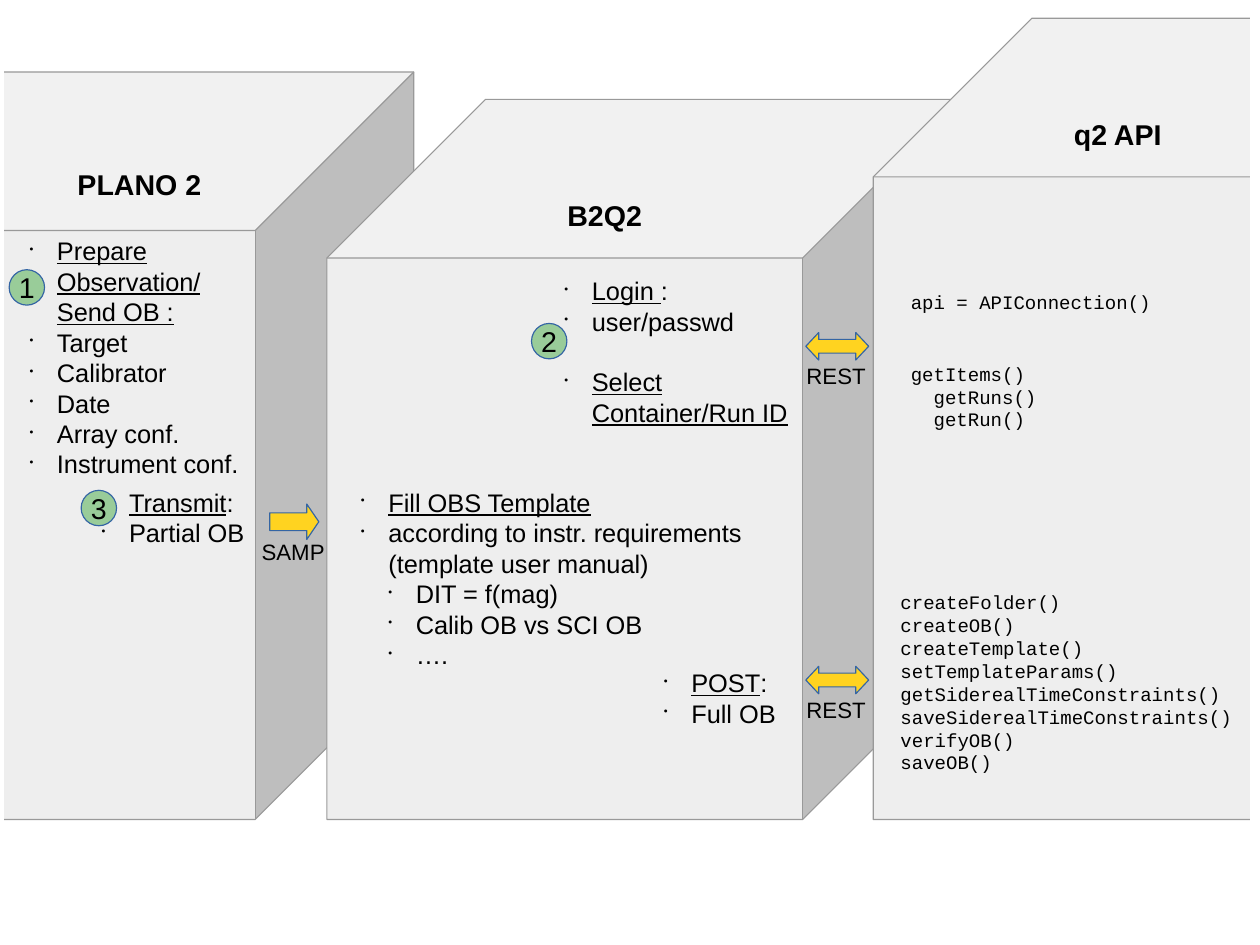
from collections import namedtuple
from lxml.etree import SubElement
from pptx import Presentation
from pptx.dml.color import RGBColor
from pptx.enum.shapes import MSO_SHAPE
from pptx.enum.text import MSO_ANCHOR, PP_ALIGN
from pptx.oxml.ns import qn
from pptx.util import Cm, Inches, Pt

BLACK = RGBColor(0x00, 0x00, 0x00)
WHITE = RGBColor(0xFF, 0xFF, 0xFF)
PANEL_GREY = RGBColor(0xEE, 0xEE, 0xEE)
EDGE_GREY = RGBColor(0x99, 0x99, 0x99)
BADGE_GREEN = RGBColor(0x99, 0xCC, 0x99)
ARROW_YELLOW = RGBColor(0xFF, 0xD3, 0x20)
OUTLINE_BLUE = RGBColor(0x34, 0x65, 0xA4)

TITLE = {"name": "Arial", "size": Pt(18), "bold": True}
NUMBER = {"name": "Arial", "size": Pt(18)}
LABEL = {"name": "Arial", "size": Pt(14)}
BODY = {"name": "Arial", "size": Pt(16)}
CODE = {"name": "Courier New", "size": Pt(12)}

INDENT = 0.24
BADGE_SIZE = 0.31

Box = namedtuple("Box", "left top width height")
Item = namedtuple("Item", "heading text level space_before", defaults=("", "", 0, 0))


def inside(box, left, top, width, height):
    return Box(box.left + left, box.top + top, width, height)


def add_run(paragraph, text, style, **extra):
    run = paragraph.add_run()
    run.text = text
    run.font.color.rgb = BLACK
    for name, value in {**style, **extra}.items():
        setattr(run.font, name, value)


def add_outlined(slide, kind, box, fill, line):
    shape = slide.shapes.add_shape(kind, *map(Inches, box))
    shape.shadow.inherit = False
    shape.fill.solid()
    shape.fill.fore_color.rgb = fill
    shape.line.color.rgb = line
    shape.line.width = Pt(0)
    return shape


def add_text(slide, box, wrap=True):
    frame = slide.shapes.add_textbox(*map(Inches, box)).text_frame
    frame.word_wrap = wrap
    return frame


def next_paragraph(frame, index):
    return frame.add_paragraph() if index else frame.paragraphs[0]


def add_centred(slide, box, text, style):
    frame = add_text(slide, box)
    frame.vertical_anchor = MSO_ANCHOR.MIDDLE
    paragraph = frame.paragraphs[0]
    paragraph.alignment = PP_ALIGN.CENTER
    add_run(paragraph, text, style)


def add_bullet(paragraph, level):
    properties = paragraph._p.get_or_add_pPr()
    properties.set("marL", str(Inches(INDENT * (level + 1))))
    properties.set("indent", str(-Inches(INDENT)))
    colour = SubElement(properties, qn("a:buClr"))
    SubElement(colour, qn("a:srgbClr")).set("val", str(BLACK))
    SubElement(properties, qn("a:buSzPct")).set("val", "45000")
    SubElement(properties, qn("a:buChar")).set("char", "•")


def add_list(slide, box, items):
    frame = add_text(slide, box)
    for index, item in enumerate(items):
        paragraph = next_paragraph(frame, index)
        paragraph.level = item.level
        paragraph.space_before = Pt(item.space_before)
        add_bullet(paragraph, item.level)
        if item.heading:
            add_run(paragraph, item.heading, BODY, underline=True)
        if item.text:
            add_run(paragraph, item.text, BODY)


def add_code(slide, box, calls, nested=()):
    frame = add_text(slide, box, wrap=False)
    for index, call in enumerate([*calls, *nested]):
        paragraph = next_paragraph(frame, index)
        if call in nested:
            paragraph._p.get_or_add_pPr().set("marL", str(Inches(0.2)))
        add_run(paragraph, call, CODE)


def add_badge(slide, panel, left, top, number):
    box = inside(panel, left, top, BADGE_SIZE, BADGE_SIZE)
    shape = add_outlined(slide, MSO_SHAPE.OVAL, box, BADGE_GREEN, OUTLINE_BLUE)
    frame = shape.text_frame
    frame.word_wrap = False
    frame.vertical_anchor = MSO_ANCHOR.MIDDLE
    frame.paragraphs[0].alignment = PP_ALIGN.CENTER
    add_run(frame.paragraphs[0], number, NUMBER)


def add_link(slide, kind, box, head, protocol):
    arrow = add_outlined(slide, kind, box, ARROW_YELLOW, OUTLINE_BLUE)
    arrow.adjustments[1] = head
    label = inside(box, box.width / 2 - 0.46, box.height / 2 + 0.1, 0.9, 0.32)
    add_centred(slide, label, protocol, LABEL)


def add_cube(slide, panel, title, title_centre, title_top):
    cube = add_outlined(slide, MSO_SHAPE.CUBE, panel, PANEL_GREY, EDGE_GREY)
    cube.adjustments[0] = 0.25
    add_centred(slide, inside(panel, title_centre - 0.8, title_top, 1.6, 0.38), title, TITLE)


def add_preparation_panel(slide, panel):
    add_cube(slide, panel, "PLANO 2", 3.15, 0.79)
    settings = ["Target", "Calibrator", "Date", "Array conf.", "Instrument conf."]
    add_list(slide, inside(panel, 2.09, 1.38, 2.05, 2.34),
             [Item("Prepare Observation/ Send OB\u00a0:"), *(Item(text=name) for name in settings)])
    add_list(slide, inside(panel, 2.72, 3.58, 2.01, 0.65),
             [Item("Transmit", ":"), Item(text="Partial OB")])
    add_badge(slide, panel, 2.01, 1.73, "1")
    add_badge(slide, panel, 2.64, 3.66, "3")
    add_link(slide, MSO_SHAPE.RIGHT_ARROW, inside(panel, 4.29, 3.78, 0.43, 0.31), 0.34, "SAMP")


def add_template_panel(slide, panel):
    add_cube(slide, panel, "B2Q2", 2.43, 0.82)
    add_list(slide, inside(panel, 0.2, 3.34, 3.87, 1.7), [
        Item("Fill OBS Template"),
        Item(text="according to instr. requirements (template user manual)"),
        Item(text="DIT = f(mag)", level=1),
        Item(text="Calib OB vs SCI OB", level=1),
        Item(text="….", level=1),
    ])
    add_list(slide, inside(panel, 1.98, 1.49, 2.2, 1.69), [
        Item("Login\u00a0", ":"),
        Item(text="user/passwd"),
        Item("Select Container/Run ID", space_before=19),
    ])
    add_list(slide, inside(panel, 2.85, 4.92, 2.01, 0.65),
             [Item("POST", ":"), Item(text="Full OB")])
    add_badge(slide, panel, 1.79, 1.96, "2")
    for top in (2.04, 4.96):
        add_link(slide, MSO_SHAPE.LEFT_RIGHT_ARROW, inside(panel, 4.19, top, 0.55, 0.24), 0.47, "REST")


def add_interface_panel(slide, panel):
    add_cube(slide, panel, "q2 API", 2.14, 0.82)
    add_code(slide, inside(panel, 0.23, 2.33, 2.3, 0.3), ["api = APIConnection()"])
    add_code(slide, inside(panel, 0.23, 2.96, 1.5, 0.7), ["getItems()"], ["getRuns()", "getRun()"])
    add_code(slide, inside(panel, 0.14, 4.96, 3.1, 1.9), [
        "createFolder()", "createOB()", "createTemplate()", "setTemplateParams()",
        "getSiderealTimeConstraints()", "saveSiderealTimeConstraints()",
        "verifyOB()", "saveOB()",
    ])


def add_margins(slide):
    for left, width in ((0, 0.03), (10.94, 0.08)):
        add_outlined(slide, MSO_SHAPE.RECTANGLE, Box(left, 0.1, width, 7.2), WHITE, WHITE)


def main():
    presentation = Presentation()
    presentation.slide_width = Cm(28)
    presentation.slide_height = Cm(21)
    slide = presentation.slides.add_slide(presentation.slide_layouts[6])
    add_preparation_panel(slide, Box(-1.93, 0.63, 5.55, 6.54))
    add_template_panel(slide, Box(2.86, 0.87, 5.55, 6.3))
    add_interface_panel(slide, Box(7.64, 0.16, 5.55, 7.01))
    add_margins(slide)
    presentation.save("out.pptx")


if __name__ == "__main__":
    main()
